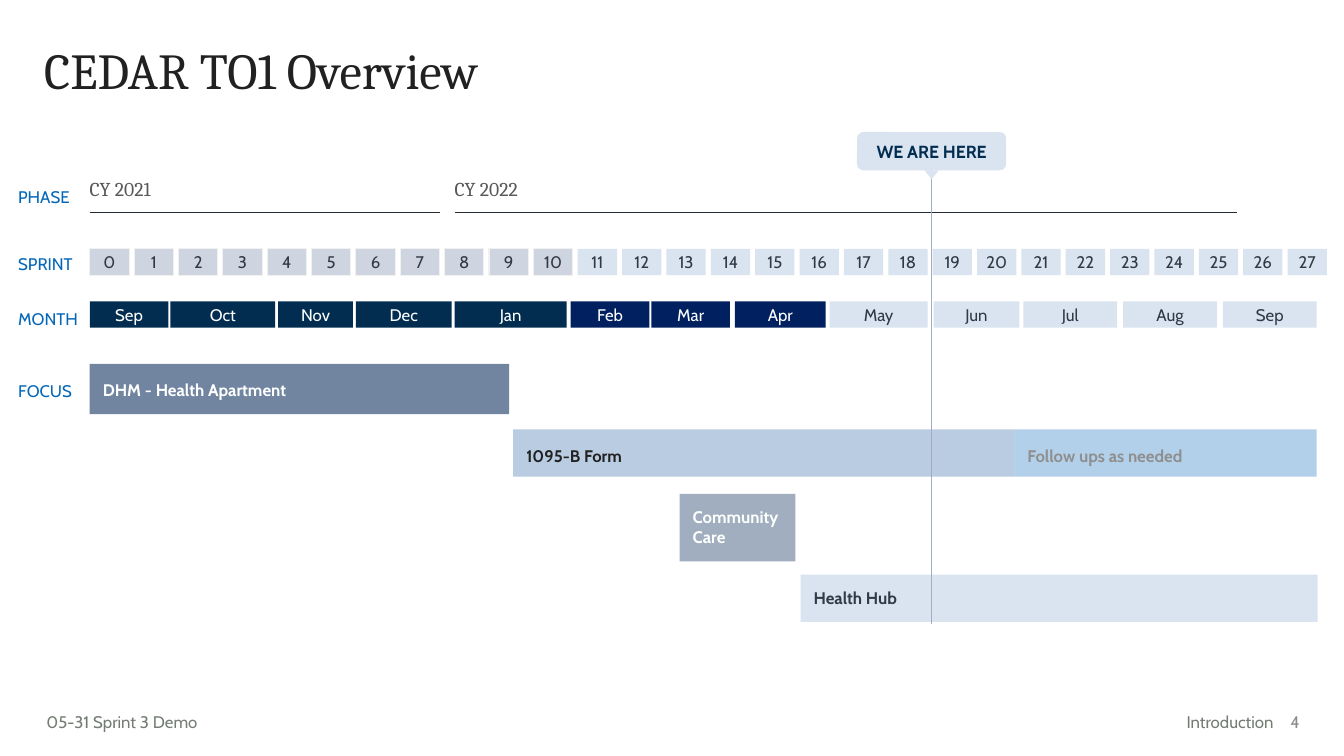
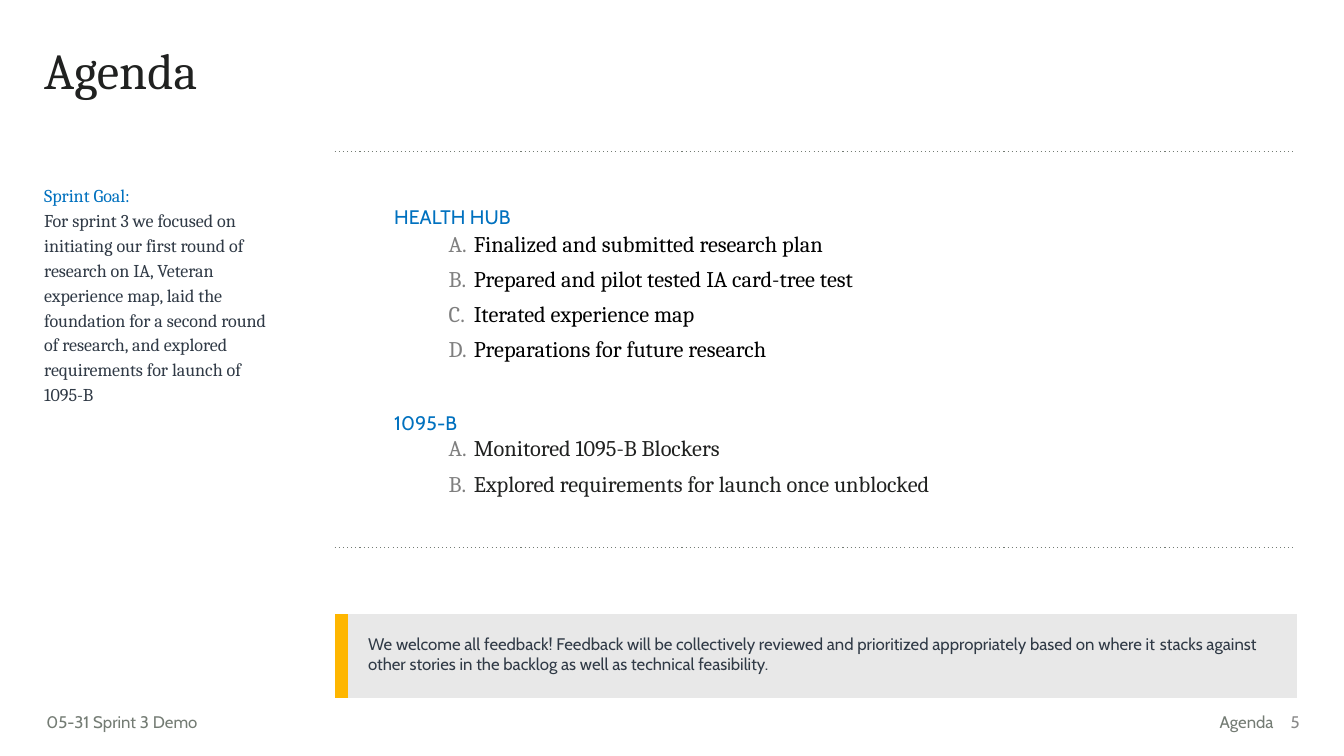
from lxml import etree
from pptx import Presentation
from pptx import util as u
from pptx.dml.color import RGBColor
from pptx.enum import dml, shapes, text
from pptx.oxml.ns import qn

PX = 9144
SANS, SERIF = "Cabin", "Cambria"
LEFT, MID, RIGHT = text.PP_ALIGN.LEFT, text.PP_ALIGN.CENTER, text.PP_ALIGN.RIGHT
RECT = shapes.MSO_SHAPE.RECTANGLE
PAD = (10, 5, 10, 5)
PLAIN = "{2D5ABB26-0587-4C30-8999-92F81FD0307C}"

HUE = {
    "ink": "202120", "slate": "303A46", "rule": "232B34", "foot": "747C74",
    "page": "8A8A8A", "label": "0467B8", "head": "0071BF", "year": "565956",
    "white": "FFFFFF", "pale": "FDFFFD", "black": "000000", "mark": "7F7F7F",
    "past": "CED5E0", "edge": "F0F1F0", "next": "DAE4F0", "navy": "022D50",
    "royal": "002060", "steel": "7185A0", "sky": "B9CCE2", "mist": "A1AEBF",
    "blue": "0365B9", "faded": "8F8F8F", "gold": "FEB600", "grey": "E8E8E8",
}

MONTHS = [
    ("Sep", 89, 78, "navy"), ("Oct", 169, 104, "navy"), ("Nov", 276, 74, "navy"),
    ("Dec", 353, 95, "navy"), ("Jan", 451, 111, "navy"), ("Feb", 566, 78, "royal"),
    ("Mar", 646, 78, "royal"), ("Apr", 729, 90, "royal"), ("May", 823, 97, "next"),
    ("Jun", 926, 85, "next"), ("Jul", 1015, 93, "next"), ("Aug", 1114, 93, "next"),
    ("Sep", 1213, 93, "next"),
]
FOCUS = [
    ("DHM - Health Apartment", 0, 0, 416, 50, "steel", "white", 1.15, None),
    ("1095-B Form", 420, 65, 497, 47, "sky", "ink", 1.15, None),
    ("Follow ups as needed", 917, 65, 300, 47, "blue", "faded", 1.15, 30),
    ("Community Care", 585, 129, 115, 67, "mist", "pale", None, None),
    ("Health Hub", 705, 209, 513, 47, "next", "slate", None, None),
]
GOAL = ("For sprint 3 we focused on initiating our first round of research on IA, "
        "Veteran experience map, laid the foundation for a second round of research, "
        "and explored requirements for launch of 1095-B")
NOTE = ("We welcome all feedback! Feedback will be collectively reviewed and "
        "prioritized appropriately based on where it\u00a0stacks against other stories "
        "in the backlog as well as technical feasibility.")
TOPICS = [
    ("HEALTH HUB", 198, 30, "black", [
        "Finalized and submitted research plan",
        "Prepared and pilot tested IA card-tree test",
        "Iterated experience map",
        "Preparations for future research"]),
    ("1095-B", 403, 28, "ink", [
        "Monitored 1095-B Blockers",
        "Explored requirements for launch once unblocked"]),
]


def px(*sizes):
    return [u.Emu(size * PX) for size in sizes]


def rgb(name):
    return RGBColor.from_string(HUE[name])


def style(para, hue, size=12, face=SANS, bold=False, align=LEFT, space=None):
    para.alignment = align
    if space:
        para.line_spacing = space
    font = para.font
    font.name, font.size, font.bold = face, u.Pt(size), bold
    font.color.rgb = rgb(hue)


def inset(item, pad):
    (item.margin_left, item.margin_top,
     item.margin_right, item.margin_bottom) = px(*pad)


def write(frame, words, hue, pad=PAD, anchor=text.MSO_ANCHOR.TOP, **look):
    frame.word_wrap = True
    frame.vertical_anchor = anchor
    inset(frame, pad)
    para = frame.paragraphs[0]
    para.text = words
    style(para, hue, **look)


def label(slide, box, words, hue, **look):
    frame = slide.shapes.add_textbox(*px(*box)).text_frame
    write(frame, words, hue, **look)
    return frame


def block(parent, box, fill, kind=RECT, edge=None, alpha=None):
    shape = parent.shapes.add_shape(kind, *px(*box))
    shape.shadow.inherit = False
    shape.fill.solid()
    shape.fill.fore_color.rgb = rgb(fill)
    if edge:
        shape.line.color.rgb = rgb(edge)
        shape.line.width = u.Pt(0.75)
    else:
        shape.line.fill.background()
    if alpha:
        tint = shape.element.xpath("./p:spPr/a:solidFill/a:srgbClr")[0]
        etree.SubElement(tint, qn("a:alpha"), val=str(alpha * 1000))
    return shape


def rule(parent, ends, hue, width=0.75, dots=False):
    line = parent.shapes.add_connector(shapes.MSO_CONNECTOR.STRAIGHT, *px(*ends))
    line.line.color.rgb = rgb(hue)
    line.line.width = u.Pt(width)
    if dots:
        line.line.dash_style = dml.MSO_LINE.ROUND_DOT
        line.element.xpath(".//a:prstDash")[0].set("val", "dot")
    etree.SubElement(line.element.spPr, qn("a:effectLst"))


def frame_page(deck, title, part, page):
    slide = deck.slides.add_slide(deck.slide_layouts[6])
    label(slide, (34, 41, 1242, 82), title, "ink", size=36, face=SERIF, space=0.9)
    label(slide, (46, 701, 298, 30), "05-31 Sprint 3 Demo", "foot", pad=(0, 5, 10, 5))
    label(slide, (975, 701, 298, 30), part, "foot", align=RIGHT)
    label(slide, (1255, 696, 44, 40), str(page), "page", align=RIGHT,
          anchor=text.MSO_ANCHOR.MIDDLE)
    return slide


def row_names(slide, x):
    for name, y in (("PHASE", 185), ("SPRINT", 252), ("MONTH", 306), ("FOCUS", 378)):
        label(slide, (x, y, 78, 20), name, "label", pad=(0, 0, 0, 0))


def phase(slide, x, y, width, year):
    label(slide, (x - 10, y, 300, 34), year, "year", size=14, face=SERIF)
    rule(slide, (x, y + 40, x + width, y + 40), "rule")


def cell(slide, box, words, fill, hue, edge=None):
    shape = block(slide, box, fill, edge=edge)
    write(shape.text_frame, words, hue, pad=(3, 3, 3, 3), align=MID)


def sprints(slide, x, y, count=28, done=11, step=44):
    for i in range(count):
        fill, edge = ("past", "edge") if i < done else ("next", None)
        cell(slide, (x + i * step, y, 39, 26), str(i), fill, "slate", edge)


def months(slide, y):
    for name, x, width, fill in MONTHS:
        hue = "slate" if fill == "next" else "pale"
        cell(slide, (x, y, width, 26), name, fill, hue)


def focus(slide, x, y):
    for words, dx, dy, width, height, fill, hue, space, alpha in FOCUS:
        shape = block(slide, (x + dx, y + dy, width, height), fill, alpha=alpha)
        write(shape.text_frame, words, hue, pad=(13, 13, 13, 13), bold=True, space=space)


def marker(slide, x, y):
    group = slide.shapes.add_group_shape()
    rule(group, (x, y + 21, x, y + 488), "mist", 1)
    flag = block(group, (x - 74, y, 148, 38), "next", shapes.MSO_SHAPE.ROUNDED_RECTANGLE)
    write(flag.text_frame, "WE ARE HERE", "navy", size=12.5, bold=True, align=MID,
          anchor=text.MSO_ANCHOR.MIDDLE)
    tip = block(group, (x - 7, y + 38, 14, 9), "next", shapes.MSO_SHAPE.ISOSCELES_TRIANGLE)
    tip.rotation = 180


def goal(slide, box):
    look = dict(size=12.9, face=SERIF, space=1.15)
    frame = label(slide, box, "Sprint Goal:", "head", **look)
    para = frame.add_paragraph()
    para.text = GOAL
    style(para, "slate", **look)


def letter(para):
    props = para._p.get_or_add_pPr()
    indent = 25 * PX
    props.set("marL", str(indent))
    props.set("indent", str(-indent))
    tint = etree.SubElement(props, qn("a:buClr"))
    etree.SubElement(tint, qn("a:srgbClr"), val=HUE["mark"])
    etree.SubElement(props, qn("a:buAutoNum"), type="alphaUcPeriod")


def topic(slide, x, y, name, gap, hue, items):
    label(slide, (x, y, 528, 40), name, "head", pad=(0, 5, 0, 5), size=14)
    box = (x + 54, y + gap, 680, 35 * len(items))
    frame = slide.shapes.add_textbox(*px(*box)).text_frame
    frame.word_wrap = True
    inset(frame, (0, 0, 0, 0))
    for i, item in enumerate(items):
        para = frame.add_paragraph() if i else frame.paragraphs[0]
        para.text = item
        letter(para)
        if i:
            para.space_before = u.Pt(6)
        style(para, hue, size=16, face=SERIF)


def notice(slide, x, y, widths, height):
    holder = slide.shapes.add_table(1, 2, *px(x, y, sum(widths), height))
    holder.element.xpath(".//a:tableStyleId")[0].text = PLAIN
    table = holder.table
    table.first_row = table.horz_banding = False
    table.rows[0].height = px(height)[0]
    for i, (width, fill) in enumerate(zip(widths, ("gold", "grey"))):
        table.columns[i].width = px(width)[0]
        part = table.cell(0, i)
        part.fill.solid()
        part.fill.fore_color.rgb = rgb(fill)
    inset(table.cell(0, 0), (0, 0, 0, 0))
    body = table.cell(0, 1)
    inset(body, (20, 20, 20, 20))
    para = body.text_frame.paragraphs[0]
    para.text = NOTE
    style(para, "slate")


def roadmap(deck):
    slide = frame_page(deck, "CEDAR TO1 Overview", "Introduction", 4)
    row_names(slide, 18)
    phase(slide, 89, 171, 347, "CY 2021")
    phase(slide, 451, 171, 776, "CY 2022")
    sprints(slide, 89, 247)
    months(slide, 299)
    focus(slide, 89, 361)
    marker(slide, 924, 131)


def agenda(deck):
    slide = frame_page(deck, "Agenda", "Agenda", 5)
    goal(slide, (34, 175, 247, 239))
    for y in (150, 543):
        rule(slide, (332, y, 1284, y), "foot", dots=True)
    for name, y, gap, hue, items in TOPICS:
        topic(slide, 391, y, name, gap, hue, items)
    notice(slide, 332, 609, (13, 941), 83)


def main():
    deck = Presentation()
    deck.slide_width, deck.slide_height = px(1333, 750)
    roadmap(deck)
    agenda(deck)
    deck.save("out.pptx")


if __name__ == "__main__":
    main()
